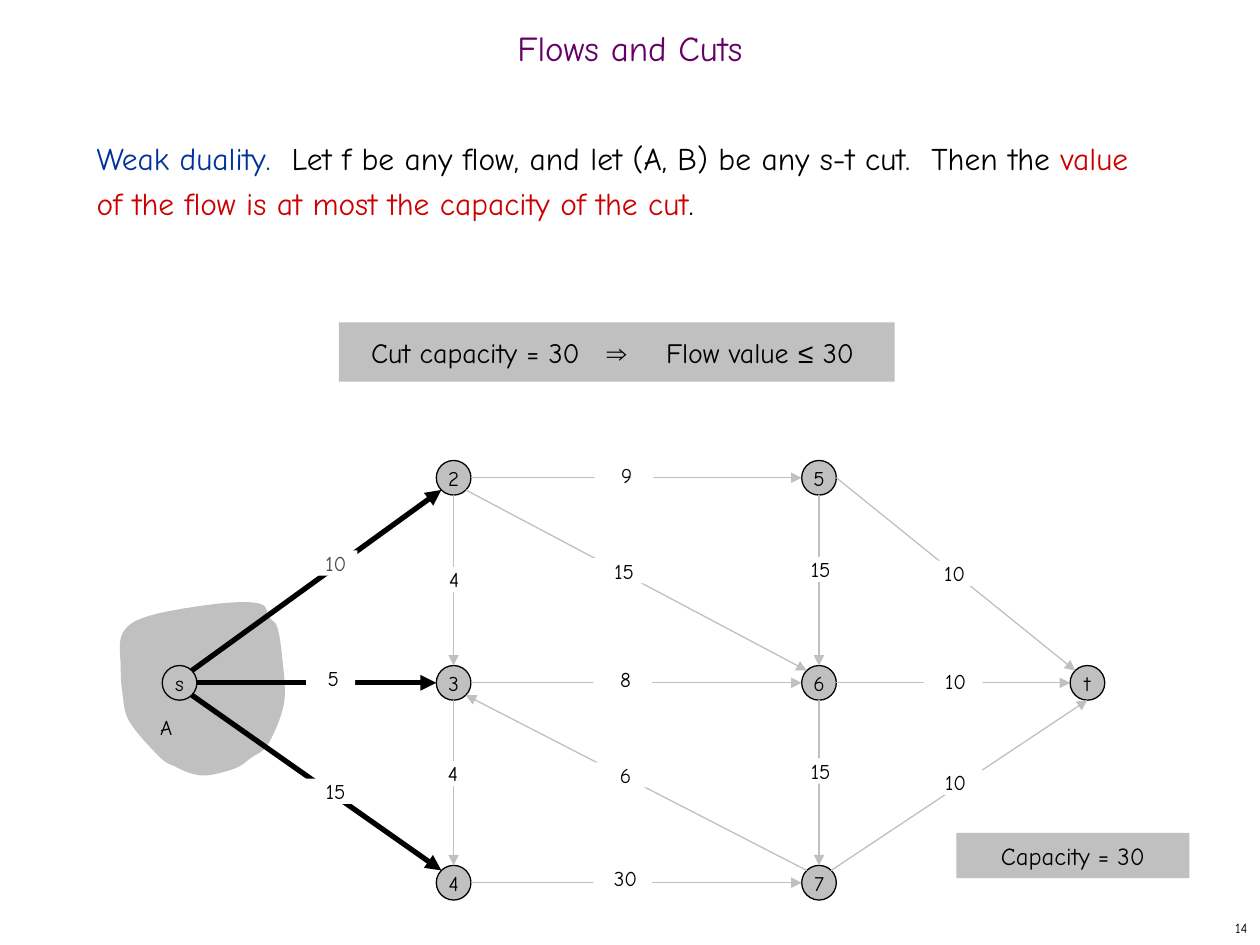
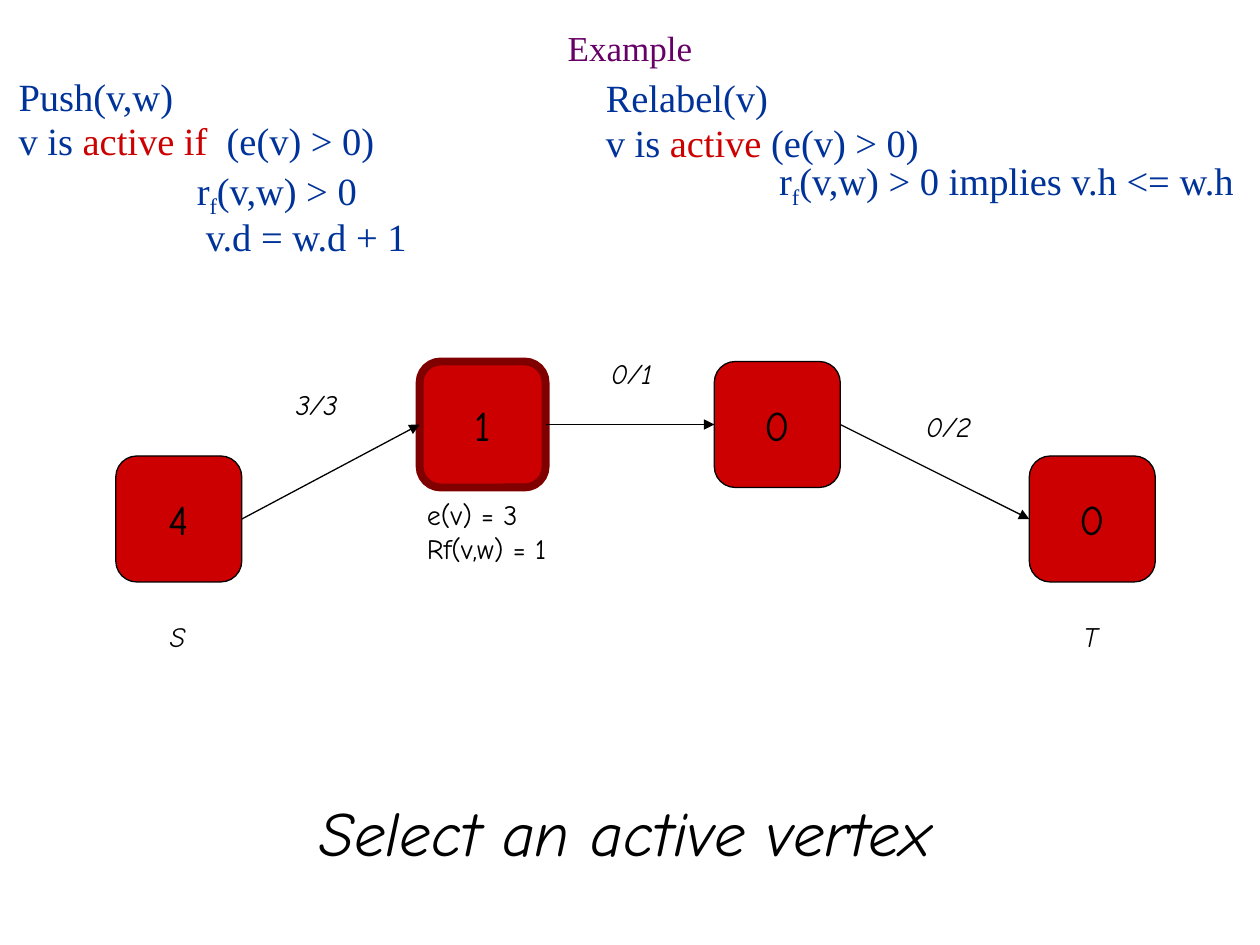
from dataclasses import dataclass

from lxml.etree import SubElement
from pptx import Presentation
from pptx.dml.color import RGBColor
from pptx.enum.shapes import MSO_CONNECTOR, MSO_SHAPE
from pptx.enum.text import MSO_ANCHOR, PP_ALIGN
from pptx.oxml.ns import qn
from pptx.util import Pt


@dataclass(frozen=True)
class Theme:
    """Colours, fonts and type sizes shared by the slides."""
    purple: str = "660066"
    blue: str = "003399"
    red: str = "CC0000"
    maroon: str = "800000"
    black: str = "000000"
    slate: str = "4D4D4D"
    gray: str = "C0C0C0"
    white: str = "FFFFFF"
    hand: str = "Comic Neue"
    serif: str = "Times New Roman"
    symbol: str = "Arial"
    title: int = 20
    rule: int = 22
    body: int = 18
    note: int = 16
    capacity: int = 14
    node: int = 12
    number: int = 8
    vertex: int = 24
    caption: int = 36
    thin: float = 0.75
    vertex_active: float = 4.5
    thick: float = 3


THEME = Theme()
INSETS = (7.2, 3.6, 7.2, 3.6)
NO_INSETS = (0, 0, 0, 0)
NODE_SIZE = 19.8
DIAGONAL = 0.5 ** 0.5
SITES = {
    "N": (0, -1), "S": (0, 1), "E": (1, 0), "W": (-1, 0),
    "NE": (DIAGONAL, -DIAGONAL), "NW": (-DIAGONAL, -DIAGONAL),
    "SE": (DIAGONAL, DIAGONAL), "SW": (-DIAGONAL, DIAGONAL),
}


@dataclass
class Span:
    """A stretch of text with its own formatting."""
    text: str
    color: str = None
    font: str = None
    subscript: bool = False


@dataclass
class Edge:
    """A directed edge of the network and its capacity label."""
    start: str
    start_site: str
    end: str
    end_site: str
    capacity: str
    label_at: tuple
    label_width: float = 33.6
    label_shift: float = 3
    cut: bool = False
    color: str = THEME.black


NODES = {
    "s": (102.6, 390.2), "2": (259.2, 273), "3": (259.2, 390.2),
    "4": (259.2, 504.4), "5": (468, 273), "6": (468, 390.2),
    "7": (468, 504.4), "t": (621.4, 390.2),
}
EDGES = [
    Edge("s", "NE", "2", "SW", "10", (170.6, 314.6), label_shift=9, cut=True,
         color=THEME.slate),
    Edge("s", "E", "3", "W", "5", (175, 380.2), label_width=28, cut=True),
    Edge("s", "SE", "4", "NW", "15", (173.5, 445), cut=True),
    Edge("2", "S", "3", "N", "4", (241.2, 324)),
    Edge("3", "S", "4", "N", "4", (240.5, 434.9)),
    Edge("2", "E", "5", "W", "9", (339.8, 264.2)),
    Edge("2", "SE", "6", "NW", "15", (338.4, 319)),
    Edge("3", "E", "6", "W", "8", (339.1, 380.9)),
    Edge("7", "NW", "3", "SE", "6", (339.1, 435.6)),
    Edge("4", "E", "7", "W", "30", (339.1, 494.6)),
    Edge("5", "S", "6", "N", "15", (450.7, 318.2)),
    Edge("6", "S", "7", "N", "15", (450.7, 433.4)),
    Edge("5", "E", "t", "NW", "10", (524.2, 320.4), label_shift=9),
    Edge("6", "E", "t", "W", "10", (527.8, 382.3)),
    Edge("7", "NE", "t", "S", "10", (527.8, 439.9)),
]
CUT_OUTLINE = [
    (70, 362), (85, 352), (124.5, 345), (148.5, 345), (154, 353),
    (158.5, 358.5), (161.3, 376), (162.4, 401.5), (153.4, 425),
    (144, 432.7), (134.6, 439), (119, 443), (109.4, 442), (100, 438),
    (91.4, 432.7), (74, 412.5), (70, 396), (69, 381),
]


def place(shape, left, top, width, height):
    """Move a shape to a rectangle given in points."""
    shape.left, shape.top = Pt(left), Pt(top)
    shape.width, shape.height = Pt(width), Pt(height)


def format_frame(frame, anchor=MSO_ANCHOR.TOP, insets=INSETS):
    """Set wrapping, anchor and insets of a text frame."""
    frame.word_wrap = True
    frame.vertical_anchor = anchor
    frame.margin_left, frame.margin_top, frame.margin_right, frame.margin_bottom = map(Pt, insets)


def write(para, content, size, color=THEME.black, font=THEME.hand,
          align=PP_ALIGN.LEFT, italic=False):
    """Fill a paragraph from a string or a list of spans."""
    para.alignment = align
    for part in [Span(content)] if isinstance(content, str) else content:
        span = para.add_run()
        span.text = part.text
        span.font.size = Pt(size)
        span.font.name = part.font or font
        span.font.italic = italic
        span.font.color.rgb = RGBColor.from_string(part.color or color)
        if part.subscript:
            span.font._element.set("baseline", "-25000")


def set_tabs(para, positions):
    """Give a paragraph left tab stops in points."""
    tabs = SubElement(para._p.get_or_add_pPr(), qn("a:tabLst"))
    for position in positions:
        SubElement(tabs, qn("a:tab"), pos=str(Pt(position)), algn="l")


def add_slide(deck, title, font):
    """Add a title-only slide with the shared title style."""
    page = deck.slides.add_slide(deck.slide_layouts[5])
    box = page.shapes.title
    place(box, 0, 12.2, 720, 36)
    format_frame(box.text_frame, MSO_ANCHOR.MIDDLE)
    para = box.text_frame.paragraphs[0]
    para.line_spacing = 0.7
    write(para, title, THEME.title, THEME.purple, font, PP_ALIGN.CENTER)
    return page


def add_text(page, bounds, lines, size, insets=INSETS, **style):
    """Add a text box with one paragraph per line."""
    box = page.shapes.add_textbox(*map(Pt, bounds))
    frame = box.text_frame
    format_frame(frame, insets=insets)
    for index, line in enumerate(lines):
        para = frame.add_paragraph() if index else frame.paragraphs[0]
        write(para, line, size, **style)
    return frame


def style_shape(shape, fill, outline=None, weight=THEME.thin):
    """Give a shape a flat fill and an optional outline."""
    shape.shadow.inherit = False
    shape.fill.solid()
    shape.fill.fore_color.rgb = RGBColor.from_string(fill)
    if outline:
        shape.line.color.rgb = RGBColor.from_string(outline)
        shape.line.width = Pt(weight)
    else:
        shape.line.fill.background()


def add_block(page, kind, bounds, content, size, fill, outline=None,
              weight=THEME.thin, insets=NO_INSETS, align=PP_ALIGN.CENTER,
              color=THEME.black):
    """Add a filled shape with one line of text."""
    shape = page.shapes.add_shape(kind, *map(Pt, bounds))
    style_shape(shape, fill, outline, weight)
    format_frame(shape.text_frame, MSO_ANCHOR.MIDDLE, insets)
    write(shape.text_frame.paragraphs[0], content, size, color, align=align)
    return shape


def add_arrow(page, start, end, color=THEME.black, weight=THEME.thin):
    """Add a straight arrow between two points."""
    arrow = page.shapes.add_connector(MSO_CONNECTOR.STRAIGHT, *map(Pt, start + end))
    arrow.line.color.rgb = RGBColor.from_string(color)
    arrow.line.width = Pt(weight)
    properties = arrow._element.spPr
    SubElement(properties.find(qn("a:ln")), qn("a:tailEnd"), type="triangle")
    SubElement(properties, qn("a:effectLst"))
    return arrow


def smooth_outline(corners, steps=6):
    """Return points of a closed Catmull-Rom curve through the corners."""
    count = len(corners)
    points = []
    for index in range(count):
        before, start, end, after = (corners[(index + k) % count] for k in (-1, 0, 1, 2))
        for step in range(steps):
            t = step / steps
            points.append(tuple(
                Pt((2 * b + (c - a) * t + (2 * a - 5 * b + 4 * c - d) * t ** 2
                    + (3 * b - a - 3 * c + d) * t ** 3) / 2)
                for a, b, c, d in zip(before, start, end, after)))
    return points


def add_cut(page):
    """Draw the region of the cut around the source."""
    first, *rest = smooth_outline(CUT_OUTLINE)
    builder = page.shapes.build_freeform(*first)
    builder.add_line_segments(rest, close=True)
    style_shape(builder.convert_to_shape(), THEME.gray)


def node_site(name, site):
    """Return the point on a node's rim in a compass direction."""
    return tuple(center + NODE_SIZE / 2 * step
                 for center, step in zip(NODES[name], SITES[site]))


def add_network(page):
    """Draw nodes, edges and capacity labels."""
    for name, (x, y) in NODES.items():
        bounds = (x - NODE_SIZE / 2, y - NODE_SIZE / 2, NODE_SIZE, NODE_SIZE)
        add_block(page, MSO_SHAPE.OVAL, bounds, name, THEME.node, THEME.gray, THEME.black)
    for edge in EDGES:
        add_arrow(page, node_site(edge.start, edge.start_site),
                  node_site(edge.end, edge.end_site),
                  THEME.black if edge.cut else THEME.gray,
                  THEME.thick if edge.cut else THEME.thin)
    for edge in EDGES:
        add_block(page, MSO_SHAPE.RECTANGLE, (*edge.label_at, edge.label_width, 14.4),
                  edge.capacity, THEME.node, THEME.white,
                  insets=(edge.label_shift, 0, 0, 0), color=edge.color)


def build_flows_slide(deck):
    """Build the slide on weak duality."""
    page = add_slide(deck, "Flows and Cuts", THEME.hand)
    add_text(page, (570, 522, 150, 18), ["14"], THEME.number, align=PP_ALIGN.RIGHT)
    statement = add_text(page, (48.2, 72, 617.8, 72), [[
        Span("Weak duality.", THEME.blue),
        Span("  Let f be any flow, and let (A, B) be any s-t cut.  Then the "),
        Span("value of the flow is at most the capacity of the cut", THEME.red),
        Span("."),
    ]], THEME.body)
    statement.paragraphs[0].line_spacing = Pt(25.6)
    bound = add_block(page, MSO_SHAPE.RECTANGLE, (193.7, 184.3, 317.5, 33.8), [
        Span("Cut capacity = 30\t"), Span("⇒", font=THEME.symbol),
        Span("\tFlow value "), Span("≤", font=THEME.symbol), Span(" 30"),
    ], THEME.note, THEME.gray, insets=(18.3, 0, 0, 0), align=PP_ALIGN.LEFT)
    set_tabs(bound.text_frame.paragraphs[0], (134.6, 168.6))
    add_cut(page)
    add_network(page)
    add_block(page, MSO_SHAPE.RECTANGLE, (546.5, 475.9, 133.2, 25.9),
              "Capacity = 30", THEME.capacity, THEME.gray)
    add_text(page, (88, 408.2, 14, 14.4), ["A"], THEME.node, NO_INSETS,
             align=PP_ALIGN.CENTER)


def add_rule(page, bounds, lines, spacing, gap, indents):
    """Add the conditions of an operation, with the last lines indented."""
    frame = add_text(page, bounds, lines, THEME.rule, color=THEME.blue, font=THEME.serif)
    for index, para in enumerate(frame.paragraphs):
        para.line_spacing = spacing
        para.space_before = Pt(gap if index else 0)
    for para, indent in zip(frame.paragraphs[2:], indents):
        para._p.get_or_add_pPr().set("marL", str(Pt(indent)))


def build_example_slide(deck):
    """Build the push and relabel example."""
    page = add_slide(deck, "Example", THEME.serif)
    heights = [("4", 66.2, 260.6), ("1", 239.8, 206.6), ("0", 408.2, 206.6), ("0", 588.2, 260.6)]
    vertices = []
    for index, (height, left, top) in enumerate(heights):
        active = index == 1
        vertices.append(add_block(
            page, MSO_SHAPE.ROUNDED_RECTANGLE, (left, top, 72, 72), height,
            THEME.vertex, THEME.red, THEME.maroon if active else THEME.black,
            THEME.vertex_active if active else THEME.thin))
    for start, end in zip(vertices, vertices[1:]):
        arrow = add_arrow(page, (0, 0), (0, 0))
        arrow.begin_connect(start, 3)
        arrow.end_connect(end, 1)
    labels = [("3/3", 162, 218.2), ("0/1", 342, 200.2), ("0/2", 522, 230.4),
              ("S", 90, 350.6), ("T", 612, 350.6)]
    for label, left, top in labels:
        add_text(page, (left, top, 60, 26.6), [label], THEME.note, italic=True)
    add_text(page, (72, 450, 570.2, 50.4), ["Select an active vertex"],
             THEME.caption, align=PP_ALIGN.CENTER, italic=True)
    residual = [Span("r"), Span("f", subscript=True)]
    add_rule(page, (3.6, 41, 306.7, 110.2), [
        "Push(v,w)",
        [Span("v is "), Span("active if ", THEME.red), Span(" (e(v) > 0)")],
        residual + [Span("(v,w) > 0")],
        "v.d = w.d + 1",
    ], 0.9, 1.8, (101.8, 107))
    add_rule(page, (339.1, 39.6, 380.9, 144.7), [
        "Relabel(v)",
        [Span("v is "), Span("active", THEME.red), Span(" (e(v) > 0)")],
        residual + [Span("(v,w) > 0 implies v.h <= w.h")],
    ], Pt(25.6), 0, (99,))
    add_text(page, (236.9, 280.8, 110, 46), ["e(v) = 3", "Rf(v,w) = 1"], THEME.note)


def main():
    """Build and save the deck."""
    deck = Presentation()
    deck.slide_width, deck.slide_height = Pt(720), Pt(540)
    build_flows_slide(deck)
    build_example_slide(deck)
    deck.save("out.pptx")


if __name__ == "__main__":
    main()
